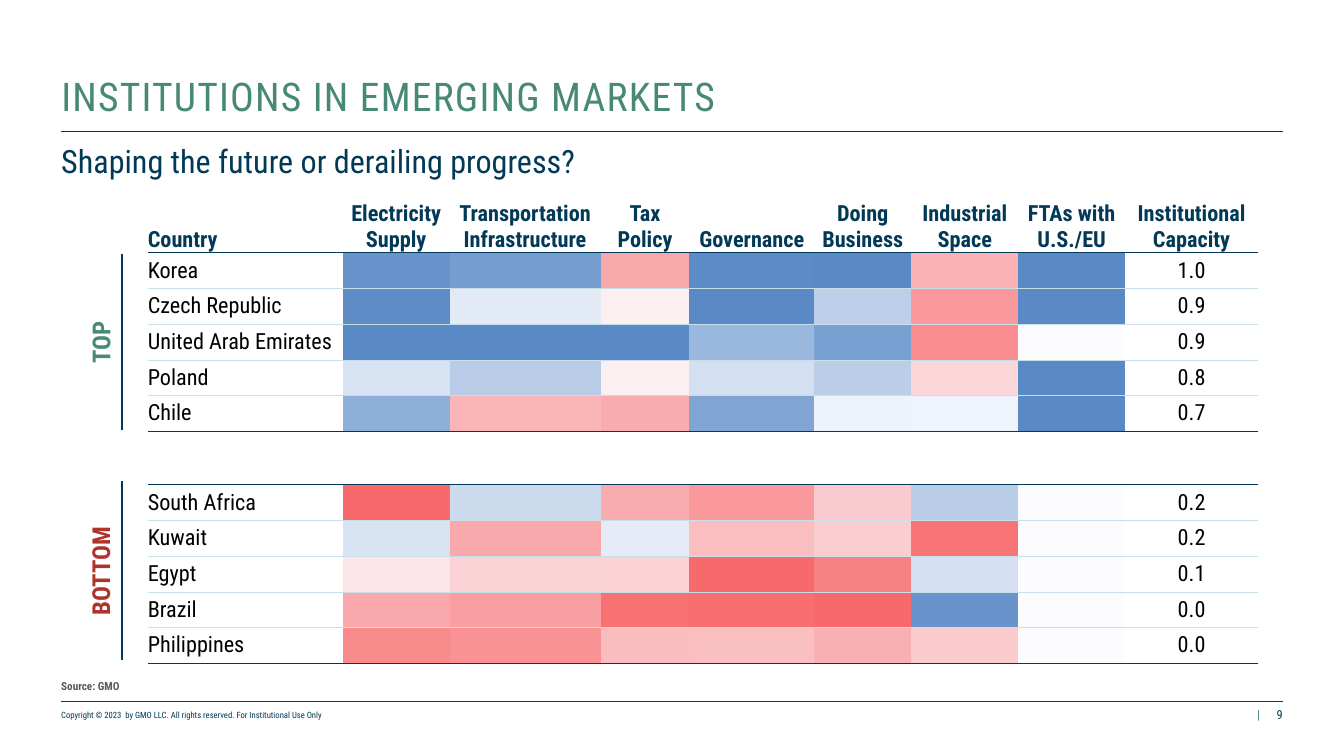
"""Build the slide on institutions in emerging markets."""
from lxml.etree import SubElement
from pptx import Presentation
from pptx.dml.color import RGBColor
from pptx.enum.shapes import MSO_CONNECTOR as Connector
from pptx.enum.text import MSO_ANCHOR as Anchor, PP_ALIGN as Align
from pptx.oxml import parse_xml
from pptx.oxml.ns import nsdecls, qn
from pptx.util import Cm, Pt

FONT = "Roboto Condensed"
NAVY, GREEN, RED, GREY = "013957", "478976", "AF332B", "595959"
BLACK, PALE = "000000", "C8DEE8"


def color(value):
    return RGBColor.from_string(value)


def write(frame, text, size, tone, bold=False, align=Align.LEFT):
    frame.text = text
    para = frame.paragraphs[0]
    para.alignment = align
    for span in para.runs:
        span.font.name = FONT
        span.font.size = Pt(size)
        span.font.bold = bold
        span.font.color.rgb = color(tone)


deck = Presentation()
deck.slide_width, deck.slide_height = Cm(38.38), Cm(21.59)
page = deck.slides.add_slide(deck.slide_layouts[5])

title = page.shapes.title
title.left, title.top, title.width, title.height = Cm(1.75), Cm(1.27), Cm(34.9), Cm(2.16)
frame = title.text_frame
frame.margin_left = frame.margin_right = frame.margin_top = frame.margin_bottom = 0
frame.vertical_anchor = Anchor.BOTTOM
write(frame, "INSTITUTIONS IN EMERGING MARKETS", 32, GREEN)
frame.paragraphs[0].line_spacing = 0.9
frame.paragraphs[0].runs[0].font._element.set("spc", "100")

lines = [
    (1.75, 3.76, 36.63, 3.76, 1),
    (1.75, 20.02, 36.63, 20.02, 0.5),
    (3.48, 7.24, 3.48, 12.29, 2),
    (3.48, 13.74, 3.48, 18.85, 2),
]
for x1, y1, x2, y2, weight in lines:
    line = page.shapes.add_connector(Connector.STRAIGHT, Cm(x1), Cm(y1), Cm(x2), Cm(y2))
    line.line.color.rgb = color(NAVY)
    line.line.width = Pt(weight)
    SubElement(line._element.spPr, qn("a:effectLst"))

texts = [
    ("Shaping the future or derailing progress?", 1.75, 4.04, 34.9, 0.69, 26, NAVY, False, Align.LEFT, Anchor.TOP),
    ("Source: GMO", 1.75, 18.44, 34.9, 1.35, 9, GREY, True, Align.LEFT, Anchor.BOTTOM),
    ("Copyright © 2023  by GMO LLC. All rights reserved. For Institutional Use Only",
     1.75, 20.19, 18.03, 0.38, 7, NAVY, False, Align.LEFT, Anchor.BOTTOM),
    ("|", 35.8, 20.19, 0.28, 0.43, 10, GREEN, False, Align.CENTER, Anchor.BOTTOM),
    ("9", 27.99, 20.19, 8.64, 0.43, 10, NAVY, False, Align.RIGHT, Anchor.BOTTOM),
]
for text, left, top, width, height, size, tone, bold, align, anchor in texts:
    box = page.shapes.add_textbox(Cm(left), Cm(top), Cm(width), Cm(height))
    frame = box.text_frame
    frame.margin_left = frame.margin_right = frame.margin_top = frame.margin_bottom = 0
    frame.word_wrap = True
    frame.vertical_anchor = anchor
    write(frame, text, size, tone, bold, align)

groups = [("TOP", 2.01, 9.22, 1.73, GREEN), ("BOTTOM", 1.32, 15.75, 3.1, RED)]
for text, left, top, width, tone in groups:
    box = page.shapes.add_textbox(Cm(left), Cm(top), Cm(width), Cm(1.11))
    box.rotation = 270
    box.text_frame.word_wrap = False
    write(box.text_frame, text, 20, tone, True, Align.CENTER)

headers = ["Country", "Electricity Supply", "Transportation Infrastructure", "Tax Policy", "Governance",
           "Doing Business", "Industrial Space", "FTAs with U.S./EU", "Institutional Capacity"]
top_countries = [
    ("Korea", "6894CB 759DD0 F9A8AA 5C8CC7 5A8AC6 FAB2B5 5A8AC6", "1.0"),
    ("Czech Republic", "5D8CC7 E2EAF6 FBEFF2 5A8AC6 BDCFE9 F9999C 5A8AC6", "0.9"),
    ("United Arab Emirates", "5A8AC6 5A8AC6 5A8AC6 9AB7DD 78A0D1 F98D90 FCFCFF", "0.9"),
    ("Poland", "D7E2F2 B8CCE7 FBEFF2 D4E0F1 BACEE8 FBD7DA 5A8AC6", "0.8"),
    ("Chile", "8EAFD9 FAB5B7 F9ACAE 80A5D4 EEF2FA EFF3FB 5A8AC6", "0.7"),
]
bottom_countries = [
    ("South Africa", "F8696B CCDAEE F9ACAE F9999B FACBCE B9CDE8 FCFCFF", "0.2"),
    ("Kuwait", "D8E3F3 F9A9AB E5ECF7 FABEC0 FACED0 F87577 FCFCFF", "0.2"),
    ("Egypt", "FBE5E8 FAD3D6 FAD1D4 F8696B F88183 D4E0F1 FCFCFF", "0.1"),
    ("Brazil", "F9A9AC F99FA1 F87173 F86D70 F8696B 6894CB FCFCFF", "0.0"),
    ("Philippines", "F88A8C F99294 FABDBF FABFC1 F9B0B3 FACACD FCFCFF", "0.0"),
]
gap = ("", "", "")
countries = top_countries + [gap, gap] + bottom_countries
widths = [5.57, 3.05, 4.31, 2.54, 3.56, 2.78, 3.05, 3.05, 3.8]
heights = [1.48] + [0.74 if row == gap else 1.02 for row in countries]
edges = [PALE] * (len(heights) + 1)
edges[0] = edges[7] = None
for edge in (1, 6, 8, 13):
    edges[edge] = NAVY

table = page.shapes.add_table(len(heights), len(widths), Cm(4.22), Cm(5.69),
                              Cm(sum(widths)), Cm(sum(heights))).table
table.first_row = table.horz_banding = False
for column, width in zip(table.columns, widths):
    column.width = Cm(width)
for row, height in zip(table.rows, heights):
    row.height = Cm(height)

for r in range(len(heights)):
    name, shades, score = countries[r - 1] if r else gap
    values = [name] + [""] * 7 + [score] if r else headers
    fills = [None] + (shades.split() or [None] * 7) + [None]
    for c, (value, fill) in enumerate(zip(values, fills)):
        cell = table.cell(r, c)
        cell.margin_left = cell.margin_right = cell.margin_top = cell.margin_bottom = 0
        cell.vertical_anchor = Anchor.MIDDLE if r else Anchor.BOTTOM
        if value:
            write(cell.text_frame, value, 18, BLACK if r else NAVY, r == 0,
                  Align.CENTER if c else Align.LEFT)
        if fill:
            cell.fill.solid()
            cell.fill.fore_color.rgb = color(fill)
        else:
            cell.fill.background()
        sides = [("lnL", None), ("lnR", None), ("lnT", edges[r]), ("lnB", edges[r + 1])]
        for place, (side, tone) in enumerate(sides):
            paint = f'<a:solidFill><a:srgbClr val="{tone}"/></a:solidFill>' if tone else "<a:noFill/>"
            border = parse_xml(f'<a:{side} {nsdecls("a")} w="6350">{paint}</a:{side}>')
            cell._tc.get_or_add_tcPr().insert(place, border)

deck.save("out.pptx")
